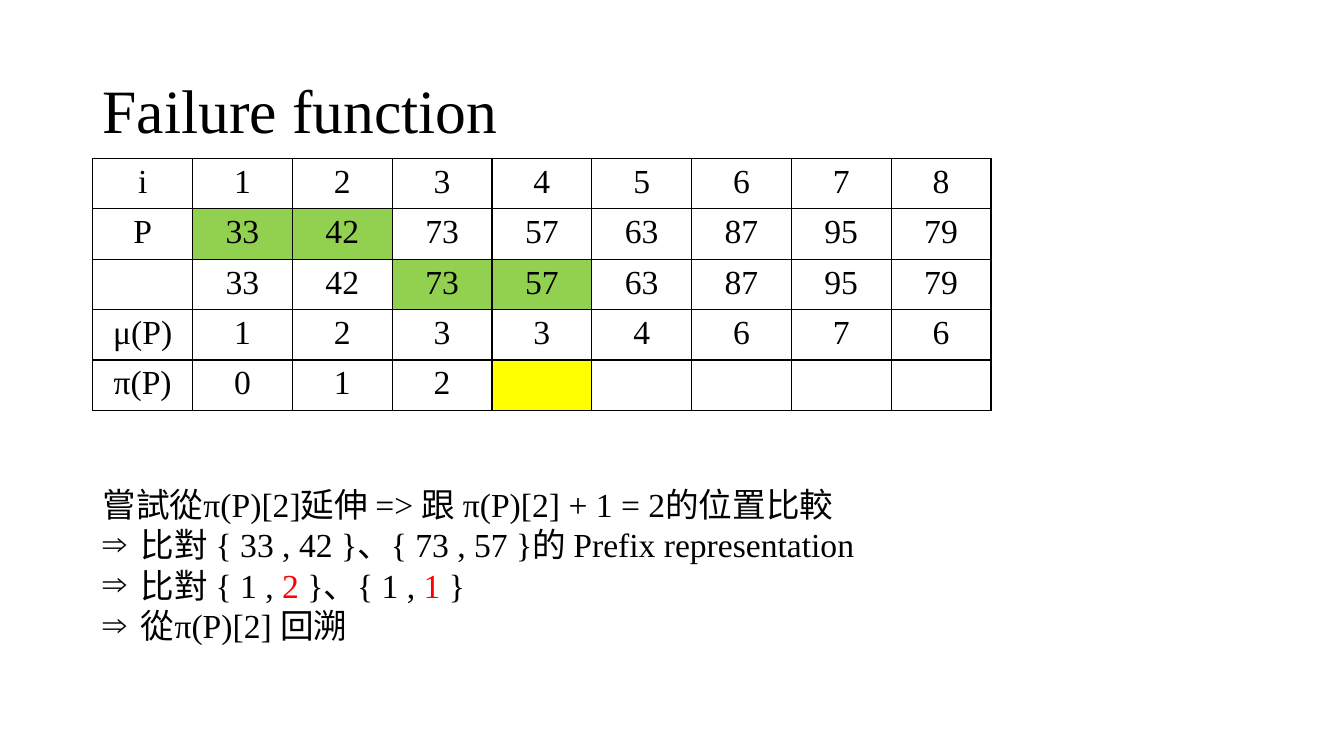
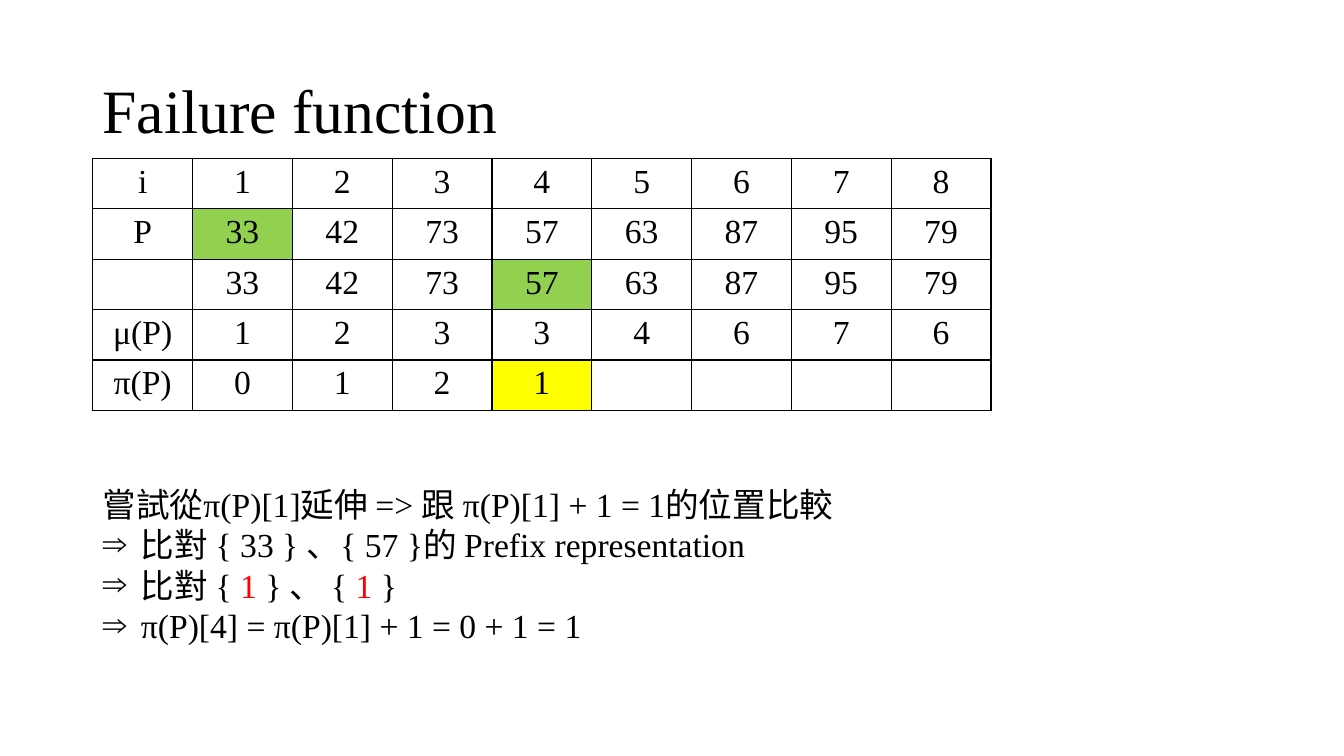
from dataclasses import dataclass

from lxml import etree
from pptx import Presentation
from pptx.dml.color import RGBColor
from pptx.enum.text import MSO_ANCHOR, PP_ALIGN
from pptx.oxml.ns import qn
from pptx.util import Pt

PX = 9144
TOP, MIDDLE = MSO_ANCHOR.TOP, MSO_ANCHOR.MIDDLE
LEFT, CENTER = PP_ALIGN.LEFT, PP_ALIGN.CENTER


@dataclass(frozen=True)
class Theme:
    ink: str = "000000"
    paper: str = "FFFFFF"
    red: str = "FF0000"
    green: str = "92D050"
    yellow: str = "FFFF00"
    font: str = "Times New Roman"
    asian: str = "Noto Sans CJK SC"
    title: int = 44
    body: int = 24


THEME = Theme()


def put(para, text, *, size=THEME.body, color=THEME.ink, align=LEFT,
        bullet=None, hang=38):
    if bullet and not para.runs:
        props = para._p.get_or_add_pPr()
        props.set("marL", str(hang * PX))
        props.set("indent", str(-hang * PX))
        etree.SubElement(props, qn("a:buFont"), typeface=THEME.font)
        etree.SubElement(props, qn("a:buChar"), char=bullet)
    para.alignment = align
    run = para.add_run()
    run.text = text
    run.font.size = Pt(size)
    run.font.color.rgb = RGBColor.from_string(color)
    run.font.name = THEME.font
    etree.SubElement(run.font._element, qn("a:ea"), typeface=THEME.asian)


class Deck:
    def __init__(self, theme, width, height):
        self.theme = theme
        self.file = Presentation()
        self.file.slide_width = width * PX
        self.file.slide_height = height * PX
        self.slide = None

    def start(self, title):
        self.slide = self.file.slides.add_slide(self.file.slide_layouts[6])
        frame = self.frame(92, 40, 1150, 145, MIDDLE)
        para = frame.paragraphs[0]
        para.line_spacing = 0.9
        put(para, title, size=self.theme.title)

    def frame(self, x, y, w, h, anchor=TOP):
        box = self.slide.shapes.add_textbox(x * PX, y * PX, w * PX, h * PX)
        frame = box.text_frame
        frame.word_wrap = True
        frame.vertical_anchor = anchor
        return frame

    def border(self, cell):
        props = cell._tc.get_or_add_tcPr()
        for side in ("lnL", "lnR", "lnT", "lnB"):
            line = etree.SubElement(props, qn(f"a:{side}"), w=str(Pt(1)))
            fill = etree.SubElement(line, qn("a:solidFill"))
            etree.SubElement(fill, qn("a:srgbClr"), val=self.theme.ink)

    def table(self, rows, marks, x, y, wide, high):
        count = len(rows[0])
        table = self.slide.shapes.add_table(
            len(rows), count, x * PX, y * PX,
            count * wide * PX, len(rows) * high * PX).table
        table.first_row = table.horz_banding = False
        for col in table.columns:
            col.width = wide * PX
        for r, row in enumerate(rows):
            table.rows[r].height = high * PX
            for c, text in enumerate(row):
                cell = table.cell(r, c)
                self.border(cell)
                cell.fill.solid()
                shade = marks.get((r, c), self.theme.paper)
                cell.fill.fore_color.rgb = RGBColor.from_string(shade)
                if text:
                    put(cell.text_frame.paragraphs[0], text, align=CENTER)

    def steps(self, lines, x, y, w, h):
        frame = self.frame(x, y, w, h)
        for n, line in enumerate(lines):
            para = frame.add_paragraph() if n else frame.paragraphs[0]
            for k, text in enumerate(line):
                put(para, text, bullet="⇒" if n else None,
                    color=self.theme.red if k % 2 else self.theme.ink)


HEAD = ["i", *"12345678"]
KEYS = "33 42 73 57 63 87 95 79".split()
RANKS = ["μ(P)", *"12334676"]

PAGES = [
    ("012", [(1, 1), (1, 2), (2, 3), (2, 4)], [
        ["嘗試從π(P)[2]延伸 => 跟 π(P)[2] + 1 = 2的位置比較"],
        ["比對 { 33 , 42 }、{ 73 , 57 }的 Prefix representation"],
        ["比對 { 1 , ", "2", " }、{ 1 , ", "1", " }"],
        ["從π(P)[2] 回溯"],
    ]),
    ("0121", [(1, 1), (2, 4)], [
        ["嘗試從π(P)[1]延伸 => 跟 π(P)[1] + 1 = 1的位置比較"],
        ["比對 { 33 } 、{ 57 }的 Prefix representation"],
        ["比對 { ", "1", " } 、 { ", "1 ", "}"],
        ["π(P)[4] = π(P)[1] + 1 = 0 + 1 = 1"],
    ]),
]


def main():
    deck = Deck(THEME, 1333, 750)
    for fails, pairs, lines in PAGES:
        deck.start("Failure function")
        rows = [HEAD, ["P", *KEYS], ["", *KEYS], RANKS,
                ["π(P)", *fails.ljust(len(KEYS)).replace(" ", "-")]]
        rows[-1] = [text.replace("-", "") for text in rows[-1]]
        marks = dict.fromkeys(pairs, THEME.green)
        marks[4, 4] = THEME.yellow
        deck.table(rows, marks, 92, 157, 99, 47)
        deck.steps(lines, 92, 475, 897, 172)
    deck.file.save("out.pptx")


if __name__ == "__main__":
    main()
